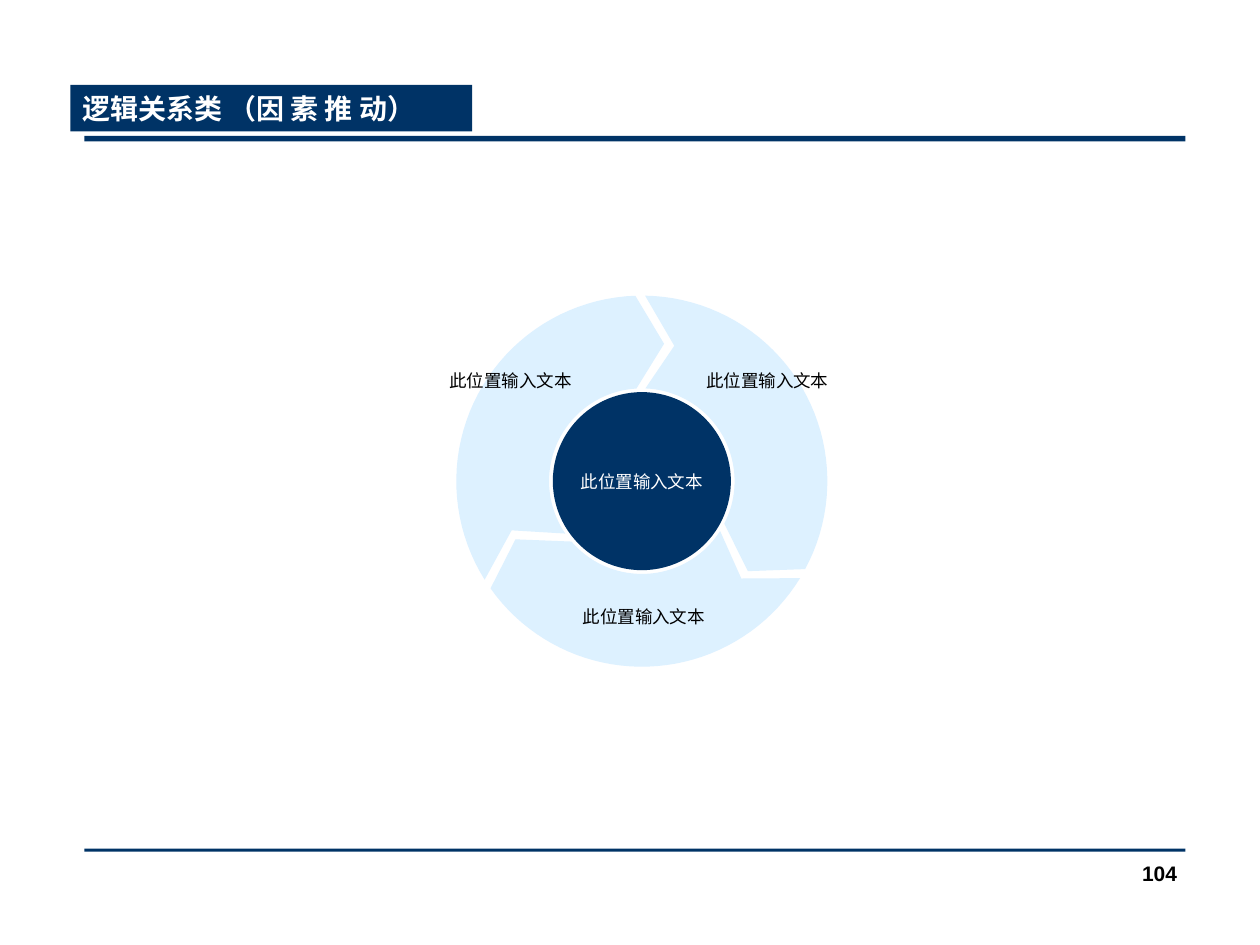
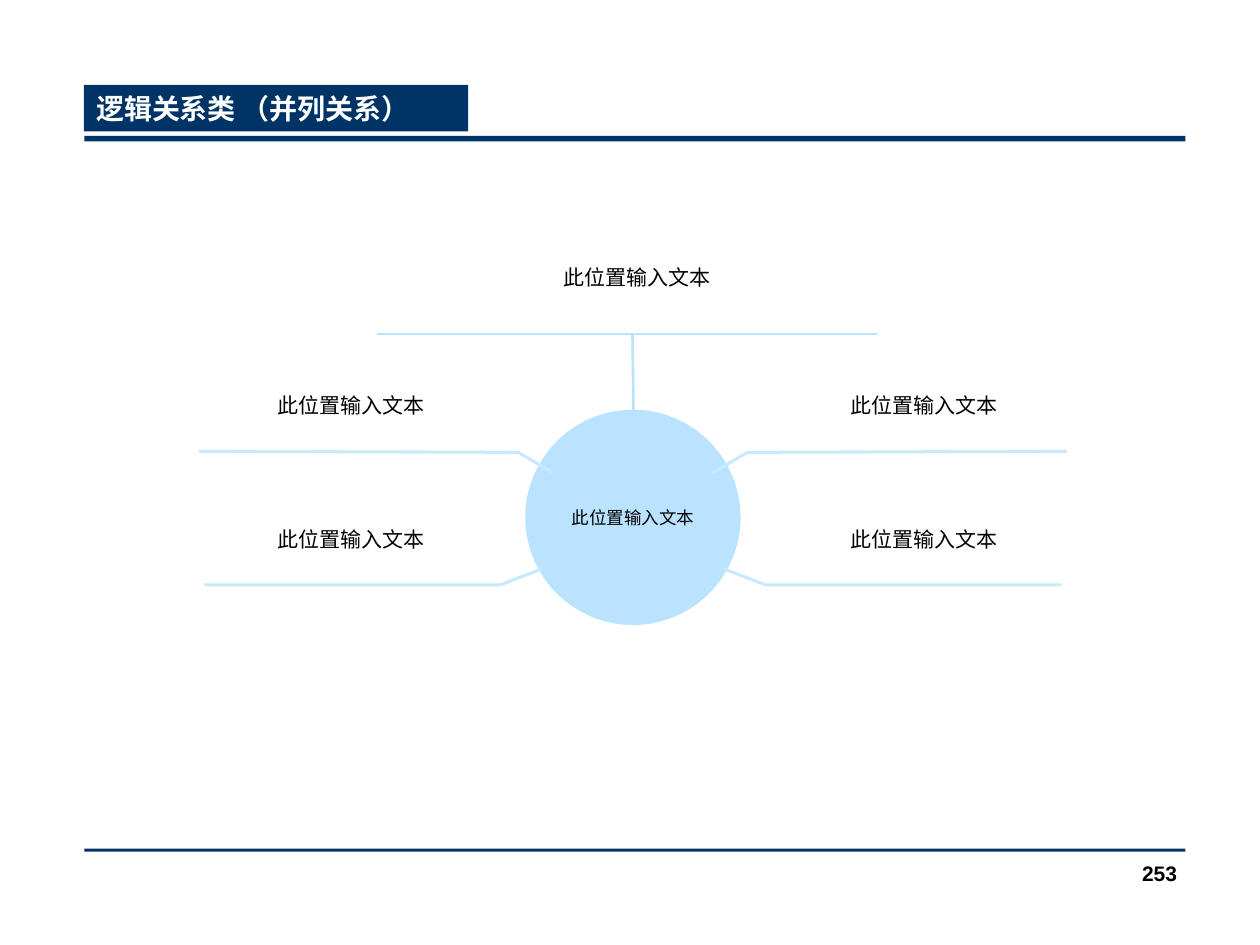
import dataclasses
import math

import lxml.etree
import pptx
import pptx.dml.color
import pptx.enum.shapes
import pptx.enum.text
import pptx.oxml.ns
import pptx.util

Cm = pptx.util.Cm
Pt = pptx.util.Pt
RGBColor = pptx.dml.color.RGBColor
Shape = pptx.enum.shapes.MSO_SHAPE
Align = pptx.enum.text.PP_ALIGN
Anchor = pptx.enum.text.MSO_ANCHOR

NAVY = RGBColor(0x00, 0x33, 0x66)
PALE = RGBColor(0xDD, 0xF1, 0xFF)
SKY = RGBColor(0xB9, 0xE3, 0xFF)
SPOKE = RGBColor(0xC9, 0xE9, 0xFF)
WHITE = RGBColor(0xFF, 0xFF, 0xFF)
BLACK = RGBColor(0x00, 0x00, 0x00)

PROMPT = "此位置输入文本"
TITLE_FONT = {"name": "Arial", "size": Pt(16), "bold": True}
NUMBER_FONT = {"name": "Arial", "size": Pt(12), "bold": True}
SMALL_FONT = {"name": "Arial", "size": Pt(10), "bold": False}
LABEL_FONT = {"name": "Arial", "size": Pt(12), "bold": False}


@dataclasses.dataclass
class Box:
    left: float
    top: float
    width: float
    height: float

    def lengths(self):
        return [Cm(value) for value in dataclasses.astuple(self)]

    def from_centre(self, x, y):
        return self.left + self.width / 2 + x, self.top + self.height / 2 + y

    def around(self, x, y, width, height):
        centre_x, centre_y = self.from_centre(x, y)
        return Box(centre_x - width / 2, centre_y - height / 2, width, height)


def set_values(target, values):
    for name, value in values.items():
        setattr(target, name, value)


def write_text(shape, text, font, color, align=Align.CENTER, anchor=Anchor.MIDDLE, wrap=False):
    frame = shape.text_frame
    set_values(frame, {
        "word_wrap": wrap, "vertical_anchor": anchor,
        "auto_size": pptx.enum.text.MSO_AUTO_SIZE.NONE,
        "margin_left": Cm(0.25), "margin_right": Cm(0.25),
        "margin_top": Cm(0.13), "margin_bottom": Cm(0.13),
    })
    para = frame.paragraphs[0]
    para.alignment = align
    span = para.add_run()
    span.text = text
    set_values(span.font, font)
    span.font.color.rgb = color


def add_label(page, box, text, font, **layout):
    label = page.shapes.add_textbox(*box.lengths())
    write_text(label, text, font, BLACK, **layout)


def add_filled(page, kind, box, color):
    shape = page.shapes.add_shape(kind, *box.lengths())
    shape.shadow.inherit = False
    shape.fill.solid()
    shape.fill.fore_color.rgb = color
    shape.line.fill.background()
    return shape


def add_outline(page, points, close):
    start, *others = [(Cm(x), Cm(y)) for x, y in points]
    builder = page.shapes.build_freeform(*start, scale=1.0)
    builder.add_line_segments(others, close=close)
    shape = builder.convert_to_shape()
    shape.shadow.inherit = False
    return shape


def add_line(page, start, end):
    ends = [Cm(value) for value in (*start, *end)]
    line = page.shapes.add_connector(pptx.enum.shapes.MSO_CONNECTOR.STRAIGHT, *ends)
    lxml.etree.SubElement(line.element.spPr, pptx.oxml.ns.qn("a:effectLst"))
    line.line.color.rgb = SKY
    line.line.width = Pt(1.5)


def move_bands_to_layout(page):
    for top, height in ((2.74, 0.11), (17.11, 0.06)):
        band = add_filled(page, Shape.RECTANGLE, Box(1.7, top, 22.2, height), NAVY)
        page.slide_layout.shapes.element.append(band.element)


def add_frame(page, title, title_box, number):
    heading = page.shapes.title
    names = ("left", "top", "width", "height")
    set_values(heading, dict(zip(names, title_box.lengths())))
    heading.fill.solid()
    heading.fill.fore_color.rgb = NAVY
    write_text(heading, title, TITLE_FONT, WHITE, Align.LEFT, Anchor.TOP)
    add_label(page, Box(18.7, 17.22, 5.28, 1.27), number, NUMBER_FONT,
              align=Align.RIGHT, anchor=Anchor.TOP, wrap=True)


def add_ring(page, box):
    outer = box.width / 2
    middle, inner = outer * 0.75, outer * 0.5
    hub = add_filled(page, Shape.OVAL, box.around(0, 0, outer * 0.96, outer * 0.96), NAVY)
    write_text(hub, PROMPT, SMALL_FONT, WHITE)

    def point(radius, degrees):
        angle = math.radians(degrees)
        return box.from_centre(radius * math.sin(angle), -radius * math.cos(angle))

    def arc(radius, first, last, steps=40):
        return [point(radius, first + (last - first) * step / steps)
                for step in range(steps + 1)]

    heads = [(118.3, 130.3, 117.3), (234.7, 245.3, 229.4), (358, 369.2, 356.7)]
    tails = [(1, 13.5, 2.2), (121.5, 134.4, 122.5), (237.9, 249.3, 235.6)]
    for head, tail in zip(heads, tails):
        points = arc(outer, tail[0], head[0]) + [point(middle, head[1])]
        points += arc(inner, head[2], tail[2]) + [point(middle, tail[1])]
        segment = add_outline(page, points, close=True)
        segment.fill.solid()
        segment.fill.fore_color.rgb = PALE
        segment.line.fill.background()

    for x, y in ((-2.65, -2.03), (2.53, -2.03), (0.04, 2.72)):
        add_label(page, box.around(x, y, 2.7, 1.52), PROMPT, SMALL_FONT)


def add_hub_and_spokes(page, box):
    hub = add_filled(page, Shape.OVAL, box.around(0, 0, 4.34, 4.34), SKY)
    write_text(hub, PROMPT, SMALL_FONT, BLACK)
    upper = ((1.61, -0.9), (2.31, -1.31), (8.75, -1.33))
    lower = ((1.86, 1.05), (2.67, 1.36), (8.64, 1.36))
    for side, label_x in ((-1, -5.69), (1, 5.87)):
        for spoke, label_y in ((upper, -2.27), (lower, 0.44)):
            points = [box.from_centre(side * x, y) for x, y in spoke]
            branch = add_outline(page, points, close=False)
            branch.fill.background()
            branch.line.color.rgb = SPOKE
            branch.line.width = Pt(1.75)
            add_label(page, box.around(label_x, label_y, 5.87, 1.63), PROMPT, LABEL_FONT)
    add_line(page, box.from_centre(0.01, -2.17), box.from_centre(-0.01, -3.72))
    add_line(page, box.from_centre(-5.17, -3.7), box.from_centre(4.91, -3.7))
    add_label(page, box.around(0.08, -4.84, 5.87, 1.63), PROMPT, LABEL_FONT)


def main():
    deck = pptx.Presentation()
    deck.slide_width, deck.slide_height = Cm(25.4), Cm(19.05)
    title_only = deck.slide_layouts[5]

    cycle_page = deck.slides.add_slide(title_only)
    move_bands_to_layout(cycle_page)
    add_frame(cycle_page, "逻辑关系类 （因 素 推 动）", Box(1.42, 1.71, 8.1, 0.94), "104")
    add_ring(cycle_page, Box(9.2, 5.96, 7.48, 7.48))

    parallel_page = deck.slides.add_slide(title_only)
    add_frame(parallel_page, "逻辑关系类 （并列关系）", Box(1.69, 1.71, 7.75, 0.94), "253")
    add_hub_and_spokes(parallel_page, Box(4.01, 4.77, 17.5, 11.32))

    deck.save("out.pptx")


if __name__ == "__main__":
    main()
